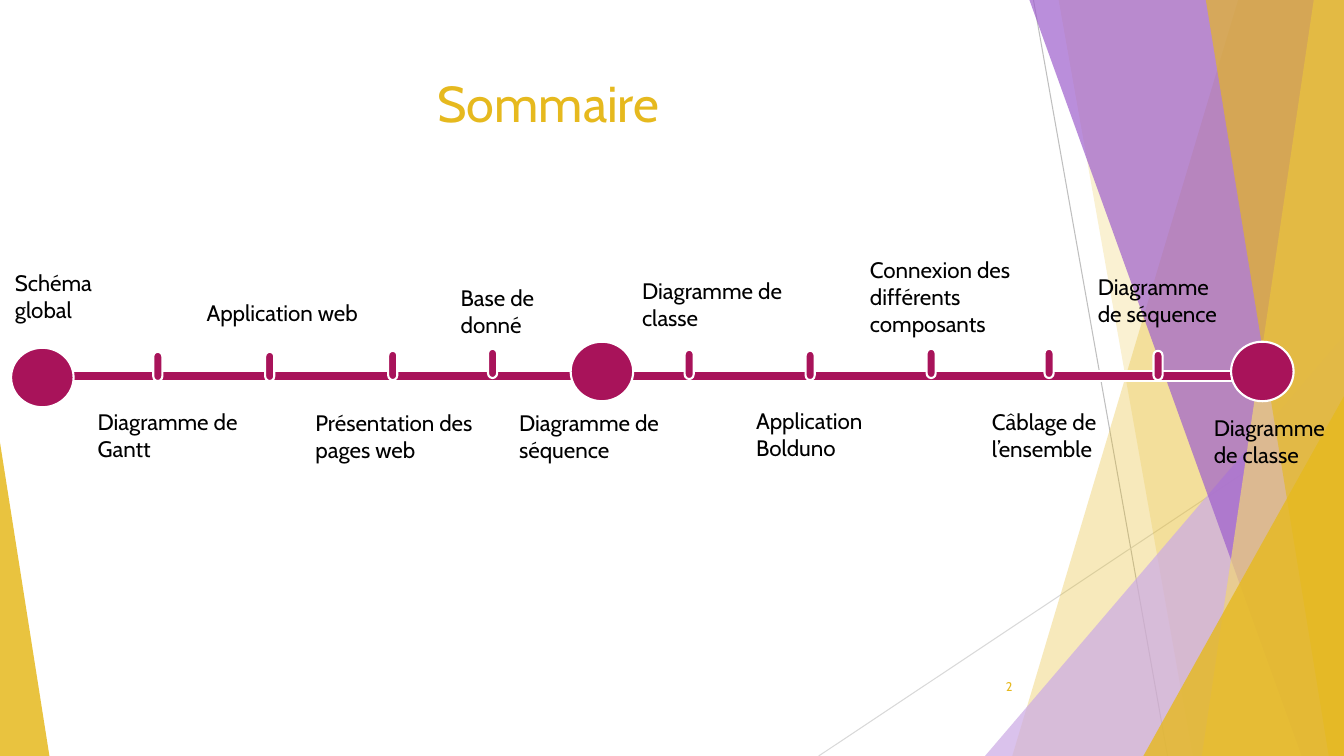
import pptx
import pptx.util
import pptx.dml.color
import pptx.enum.shapes
import pptx.enum.text
import pptx.oxml.ns
import lxml.etree
from pptx.util import Inches

WIDTH, HEIGHT = 13.33, 7.5
TITLE = "Sommaire"
PAGE_NUMBER = "2"
THEME = {
    "font": "Cabin", "title_size": 36, "label_size": 16, "number_size": 9,
    "gold": "E6B91E", "pale_gold": "F0D578", "purple": "9E5FCD", "lilac": "CCABE5",
    "berry": "A8135A", "white": "FFFFFF", "black": "000000",
    "grey": "BFBFBF", "light_grey": "D9D9D9",
}
LABELS = [
    ("Schéma global", 0.05, 2.62, 1.35, 0.64),
    ("Diagramme de Gantt", 0.87, 4.0, 1.82, 0.64),
    ("Application web", 1.95, 2.92, 1.82, 0.37),
    ("Présentation des pages web", 3.03, 4.01, 1.82, 0.64),
    ("Base de donné", 4.47, 2.77, 1.35, 0.64),
    ("Diagramme de séquence", 5.05, 4.01, 1.82, 0.64),
    ("Diagramme de classe", 6.27, 2.7, 1.82, 0.64),
    ("Application Bolduno", 7.4, 3.99, 1.82, 0.64),
    ("Connexion des différents composants", 8.53, 2.49, 1.72, 0.91),
    ("Câblage de l’ensemble", 9.74, 4.0, 1.82, 0.64),
    ("Diagramme de séquence", 10.79, 2.66, 1.48, 0.64),
    ("Diagramme de classe", 11.94, 4.06, 1.39, 0.64),
]
MILESTONES = [(0.11, 3.45), (5.66, 3.39), (12.21, 3.39)]
TICKS = [(1.42, 3.59), (2.53, 3.59), (3.75, 3.58), (4.74, 3.56), (6.69, 3.57),
         (7.89, 3.58), (9.09, 3.56), (10.26, 3.56), (11.34, 3.58)]
RAYS = [(10.25, 0, 11.58, HEIGHT, "grey"), (WIDTH, 4.03, 8.12, HEIGHT, "light_grey")]
FACETS = [
    ("band", 12.28, 10.04, "gold", 30),
    ("band", 10.5, 11.83, "gold", 20),
    ("corner", 9.77, 3.33, "lilac", 72),
    ("band", 10.21, 12.91, "purple", 70),
    ("band", 13.03, 11.92, "pale_gold", 70),
    ("band", 11.96, 13.18, "gold", 65),
    ("corner", 11.34, 3.93, "gold", 80),
]
LEFT_CORNER = (0.49, 4.39)
SHAPES = pptx.enum.shapes.MSO_SHAPE
ALIGN = pptx.enum.text.PP_ALIGN
ANCHOR = pptx.enum.text.MSO_ANCHOR


def color(name):
    """Return a theme colour."""
    return pptx.dml.color.RGBColor.from_string(THEME[name])


def add_child(parent, tag, **attributes):
    """Append a drawing element to an XML parent."""
    return lxml.etree.SubElement(parent, pptx.oxml.ns.qn(tag), attributes)


def paint(shape, fill, opacity=100, outline=None):
    """Give a shape its fill, opacity and outline."""
    shape.shadow.inherit = False
    shape.fill.solid()
    shape.fill.fore_color.rgb = color(fill)
    if opacity < 100:
        fill_color = shape._element.spPr.find(".//" + pptx.oxml.ns.qn("a:srgbClr"))
        add_child(fill_color, "a:alpha", val=str(opacity * 1000))
    if outline:
        shape.line.color.rgb = color(outline)
        shape.line.width = pptx.util.Pt(1.5)
    else:
        shape.line.fill.background()


def write(text_frame, text, size, text_color, align=ALIGN.LEFT, anchor=ANCHOR.TOP):
    """Fill and format a one-paragraph text frame."""
    text_frame.text = text
    text_frame.word_wrap = True
    text_frame.vertical_anchor = anchor
    paragraph = text_frame.paragraphs[0]
    paragraph.alignment = align
    font = paragraph.runs[0].font
    font.name = THEME["font"]
    font.size = pptx.util.Pt(THEME[size])
    font.color.rgb = color(text_color)


def add_shape(slide, kind, left, top, width, height):
    """Add a preset shape measured in inches."""
    return slide.shapes.add_shape(kind, *map(Inches, (left, top, width, height)))


def add_ray(slide, start_x, start_y, end_x, end_y, line_color):
    """Add a thin background line."""
    ray = slide.shapes.add_connector(
        pptx.enum.shapes.MSO_CONNECTOR.STRAIGHT,
        *map(Inches, (start_x, start_y, end_x, end_y)))
    ray.line.color.rgb = color(line_color)
    ray.line.width = pptx.util.Pt(0.75)
    add_child(ray._element.spPr, "a:effectLst")


def add_corner(slide, left, top, width, apex, fill, opacity):
    """Add a right triangle standing on the bottom edge."""
    corner = add_shape(slide, SHAPES.ISOSCELES_TRIANGLE, left, top, width, HEIGHT - top)
    corner.adjustments[0] = apex
    paint(corner, fill, opacity)


def add_band(slide, top_x, bottom_x, fill, opacity):
    """Add a full-height band with a slanted left side."""
    builder = slide.shapes.build_freeform(Inches(top_x), 0)
    builder.add_line_segments([
        (Inches(x), Inches(y))
        for x, y in ((WIDTH, 0), (WIDTH, HEIGHT), (bottom_x, HEIGHT))])
    paint(builder.convert_to_shape(), fill, opacity)


def add_background(slide):
    """Draw the rays and translucent facets."""
    for ray in RAYS:
        add_ray(slide, *ray)
    for kind, first, second, fill, opacity in FACETS:
        if kind == "band":
            add_band(slide, first, second, fill, opacity)
        else:
            add_corner(slide, first, second, WIDTH - first, 1, fill, opacity)
    width, top = LEFT_CORNER
    add_corner(slide, 0, top, width, 0, "gold", 85)


def add_timeline(slide):
    """Draw the bar, its milestones and its ticks."""
    bar = add_shape(slide, SHAPES.RECTANGLE, 0.64, 3.68, 11.93, 0.1)
    paint(bar, "berry", outline="white")
    for left, top in MILESTONES:
        milestone = add_shape(slide, SHAPES.OVAL, left, top, 0.62, 0.59)
        paint(milestone, "berry", outline="white")
    for left, top in TICKS:
        tick = add_shape(slide, SHAPES.FLOWCHART_TERMINATOR, left, top, 0.29, 0.09)
        tick.rotation = 270
        paint(tick, "berry", outline="white")


def add_texts(slide):
    """Write the title, labels and page number."""
    title = slide.shapes.title
    title.left, title.top, title.width, title.height = map(Inches, (0.74, 0.67, 9.4, 1.44))
    write(title.text_frame, TITLE, "title_size", "gold", ALIGN.CENTER)
    for text, *box in LABELS:
        label = slide.shapes.add_textbox(*map(Inches, box))
        write(label.text_frame, text, "label_size", "black")
        label.text_frame.auto_size = pptx.enum.text.MSO_AUTO_SIZE.SHAPE_TO_FIT_TEXT
    number = slide.shapes.add_textbox(*map(Inches, (9.39, 6.61, 0.75, 0.4)))
    write(number.text_frame, PAGE_NUMBER, "number_size", "gold", ALIGN.RIGHT, ANCHOR.MIDDLE)


def main():
    """Build and save the summary slide."""
    presentation = pptx.Presentation()
    presentation.slide_width = Inches(WIDTH)
    presentation.slide_height = Inches(HEIGHT)
    slide = presentation.slides.add_slide(presentation.slide_layouts[5])
    add_background(slide)
    add_timeline(slide)
    add_texts(slide)
    presentation.save("out.pptx")


if __name__ == "__main__":
    main()
